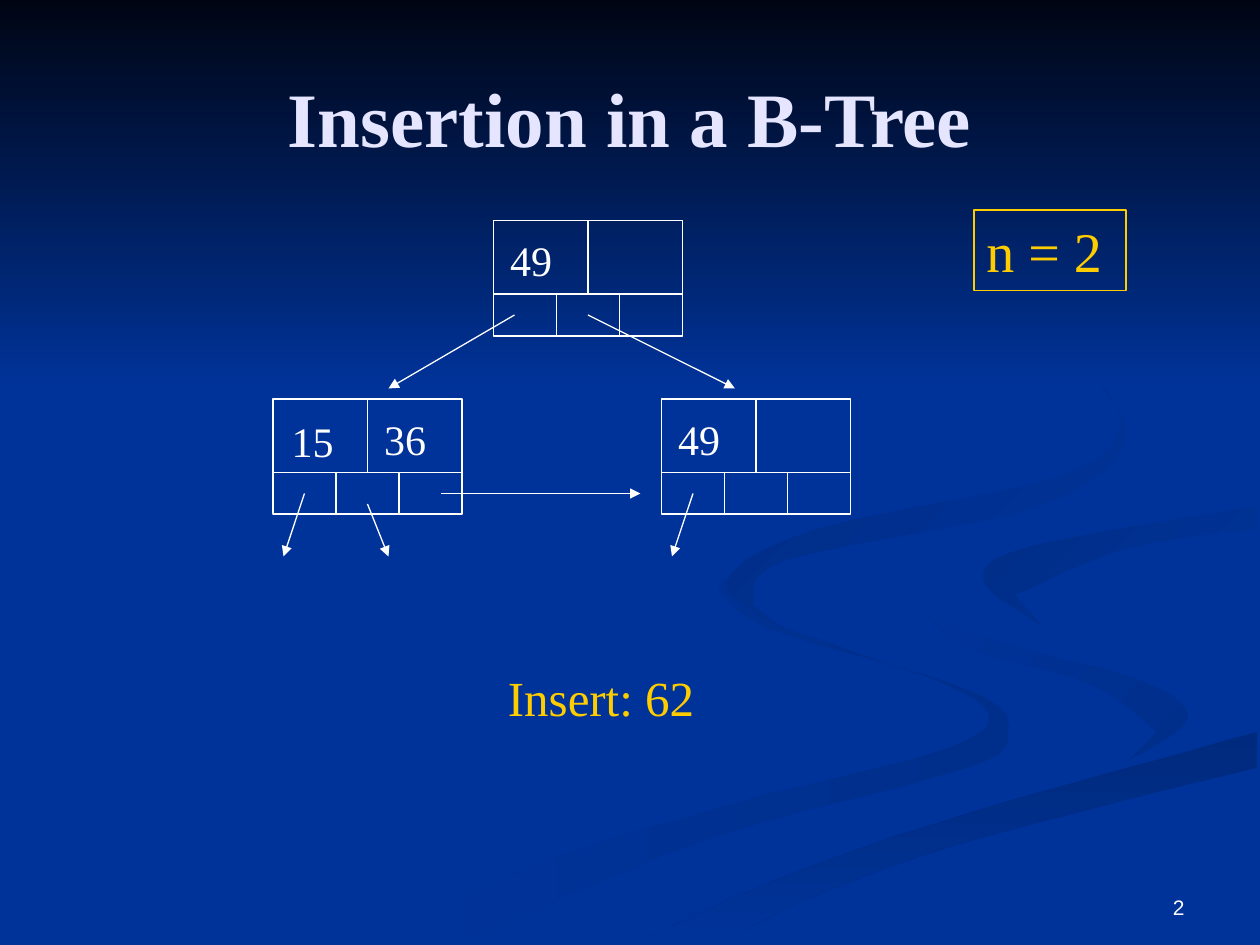
import pptx
import pptx.util
from lxml import etree
from pptx.dml.color import RGBColor
from pptx.enum.shapes import MSO_CONNECTOR, MSO_SHAPE
from pptx.enum.text import MSO_ANCHOR, PP_ALIGN
from pptx.oxml.ns import qn

BLUE = RGBColor(0x00, 0x33, 0x99)
NIGHT = RGBColor(0x00, 0x05, 0x14)
SHADE = RGBColor(0x00, 0x2E, 0x8B)
DEEP = RGBColor(0x00, 0x2A, 0x7D)
DUSK = RGBColor(0x00, 0x2D, 0x86)
DIM = RGBColor(0x00, 0x2B, 0x82)
WHITE = RGBColor(0xFF, 0xFF, 0xFF)
LILAC = RGBColor(0xE5, 0xE5, 0xFF)
GOLD = RGBColor(0xFF, 0xCC, 0x00)
SERIF = "Times New Roman"

# Diagram grid: 120 columns by 90 rows, 12 to the inch
UNIT = pptx.util.Inches(1) / 12
NODE_W, KEY_H, POINTER_H = 18, 7, 4

# Background ribbons: two edges in hundredths of an inch, colours, angle
RIBBONS = [
    ([(575, 459), (594, 485), (682, 519), (781, 553), (800, 581), (769, 609),
      (564, 665), (361, 749)],
     [(300, 749), (417, 690), (579, 639), (739, 598), (785, 570), (741, 539),
      (611, 499), (570, 468)], (SHADE, BLUE), 180),
    ([(724, 464), (745, 490), (811, 515), (905, 540), (943, 570), (894, 605)],
     [(918, 581), (868, 544), (766, 512), (724, 474)], (SHADE, BLUE), 135),
    ([(503, 749), (630, 693), (764, 647), (998, 581)],
     [(998, 609), (785, 663), (649, 710), (571, 749)], (DEEP, BLUE), 270),
    ([(826, 496), (781, 460), (821, 433), (998, 402)],
     [(998, 420), (896, 435), (805, 472)], (BLUE, DUSK), 135),
    ([(762, 233), (846, 279), (889, 335), (842, 378), (649, 420), (577, 462),
      (622, 500)],
     [(597, 480), (624, 444), (825, 402), (894, 344), (843, 275)],
     (BLUE, DIM), 135),
]


def smooth_edge(points, steps=6):
    """Catmull-Rom curve through the points."""
    ends = [points[0], *points, points[-1]]
    curve = []
    for a, b, c, d in zip(ends, ends[1:], ends[2:], ends[3:]):
        for i in range(steps):
            t = i / steps
            curve.append(tuple(
                round(q + t * (r - p) / 2
                      + t ** 2 * (2 * p - 5 * q + 4 * r - o) / 2
                      + t ** 3 * (3 * q - p - 3 * r + o) / 2)
                for p, q, r, o in zip(a, b, c, d)))
    return curve + [points[-1]]


def shade(sp, colors, angle):
    sp.shadow.inherit = False
    sp.line.fill.background()
    sp.fill.gradient()
    sp.fill.gradient_angle = angle
    for stop, color in zip(sp.fill.gradient_stops, colors):
        stop.color.rgb = color


def add_background(s, w, h):
    s.background.fill.solid()
    s.background.fill.fore_color.rgb = BLUE
    for edge, back, colors, angle in RIBBONS:
        outline = smooth_edge(edge) + smooth_edge(back)
        fb = s.shapes.build_freeform(*outline[0], scale=pptx.util.Inches(0.01))
        fb.add_line_segments(outline[1:], close=True)
        shade(fb.convert_to_shape(), colors, angle)
    sky = s.shapes.add_shape(MSO_SHAPE.RECTANGLE, 0, 0, w, round(h * 0.41))
    shade(sky, (NIGHT, BLUE), 270)


def format_text(tf, text, size, color, font=SERIF, align=PP_ALIGN.LEFT):
    tf.text = text
    p = tf.paragraphs[0]
    p.alignment = align
    f = p.runs[0].font
    f.size, f.name, f.color.rgb = pptx.util.Pt(size), font, color
    return f


def add_label(s, box, text, size, color):
    sp = s.shapes.add_textbox(*[round(v * UNIT) for v in box])
    sp.text_frame.word_wrap = False
    format_text(sp.text_frame, text, size, color)
    return sp


def add_line(s, x1, y1, x2, y2, arrow=False):
    c = s.shapes.add_connector(MSO_CONNECTOR.STRAIGHT,
                               *[round(v * UNIT) for v in (x1, y1, x2, y2)])
    c.line.color.rgb = WHITE
    c.line.width = pptx.util.Pt(0.75)
    if arrow:
        ln = c._element.spPr.find(qn("a:ln"))
        etree.SubElement(ln, qn("a:tailEnd"), type="triangle")
    etree.SubElement(c._element.spPr, qn("a:effectLst"))
    return c


def add_node(s, x, y, keys):
    """Two key cells above three pointer cells; keys are (text, nudge)."""
    height = KEY_H + POINTER_H
    box = s.shapes.add_shape(MSO_SHAPE.RECTANGLE,
                             *[round(v * UNIT) for v in (x, y, NODE_W, height)])
    box.shadow.inherit = False
    box.fill.background()
    box.line.color.rgb = WHITE
    box.line.width = pptx.util.Pt(1)
    row = y + KEY_H
    add_line(s, x, row, x + NODE_W, row)
    add_line(s, x + NODE_W / 2, y, x + NODE_W / 2, row).begin_connect(box, 0)
    for i in (1, 2):
        divider = x + i * NODE_W / 3
        add_line(s, divider, row, divider, y + height)
    for i, (key, nudge) in enumerate(keys):
        left = x + i * NODE_W / 2 + 0.4 + nudge
        add_label(s, (left, y + 0.75 + nudge, 6.8, 6), key, 24, WHITE)


def add_tree(s):
    add_node(s, 47, 21, [("49", 0)])
    add_node(s, 26, 38, [("15", 0.2), ("36", 0)])
    add_node(s, 63, 38, [("49", 0)])
    # Child, record and sibling pointers
    for ends in [(49, 30, 37, 37), (56, 30, 70, 37), (29, 47, 27, 53),
                 (35, 48, 37, 53), (66, 47, 64, 53), (42, 47, 61, 47)]:
        add_line(s, *ends, arrow=True)


def add_title(s, w, h):
    sp = s.shapes.title
    sp.left, sp.top = round(w * 0.05), round(h * 0.04)
    sp.width, sp.height = round(w * 0.9), round(h / 6)
    sp.text_frame.vertical_anchor = MSO_ANCHOR.MIDDLE
    format_text(sp.text_frame, "Insertion in a B-Tree", 44, LILAC,
                align=PP_ALIGN.CENTER).bold = True


def add_slide_number(s):
    tf = add_label(s, (86, 82, 28, 6.2), "2", 12, WHITE).text_frame
    tf.word_wrap = True
    tf.vertical_anchor = MSO_ANCHOR.BOTTOM
    format_text(tf, "2", 12, WHITE, "Arial", PP_ALIGN.RIGHT)


def main():
    prs = pptx.Presentation()
    prs.slide_width, prs.slide_height = pptx.util.Inches(10), pptx.util.Inches(7.5)
    s = prs.slides.add_slide(prs.slide_layouts[5])
    add_background(s, prs.slide_width, prs.slide_height)
    # Keep the title in front of the background
    s.shapes._spTree.append(s.shapes.title._element)
    add_title(s, prs.slide_width, prs.slide_height)
    add_tree(s)
    # Order of the tree and the key to insert
    order = add_label(s, (92.75, 20, 14.5, 7.7), "n = 2", 32, GOLD)
    order.line.color.rgb = GOLD
    order.line.width = pptx.util.Pt(0.75)
    add_label(s, (47.2, 63, 23.3, 6.8), "Insert: 62", 28, GOLD)
    add_slide_number(s)
    prs.save("out.pptx")


if __name__ == "__main__":
    main()
